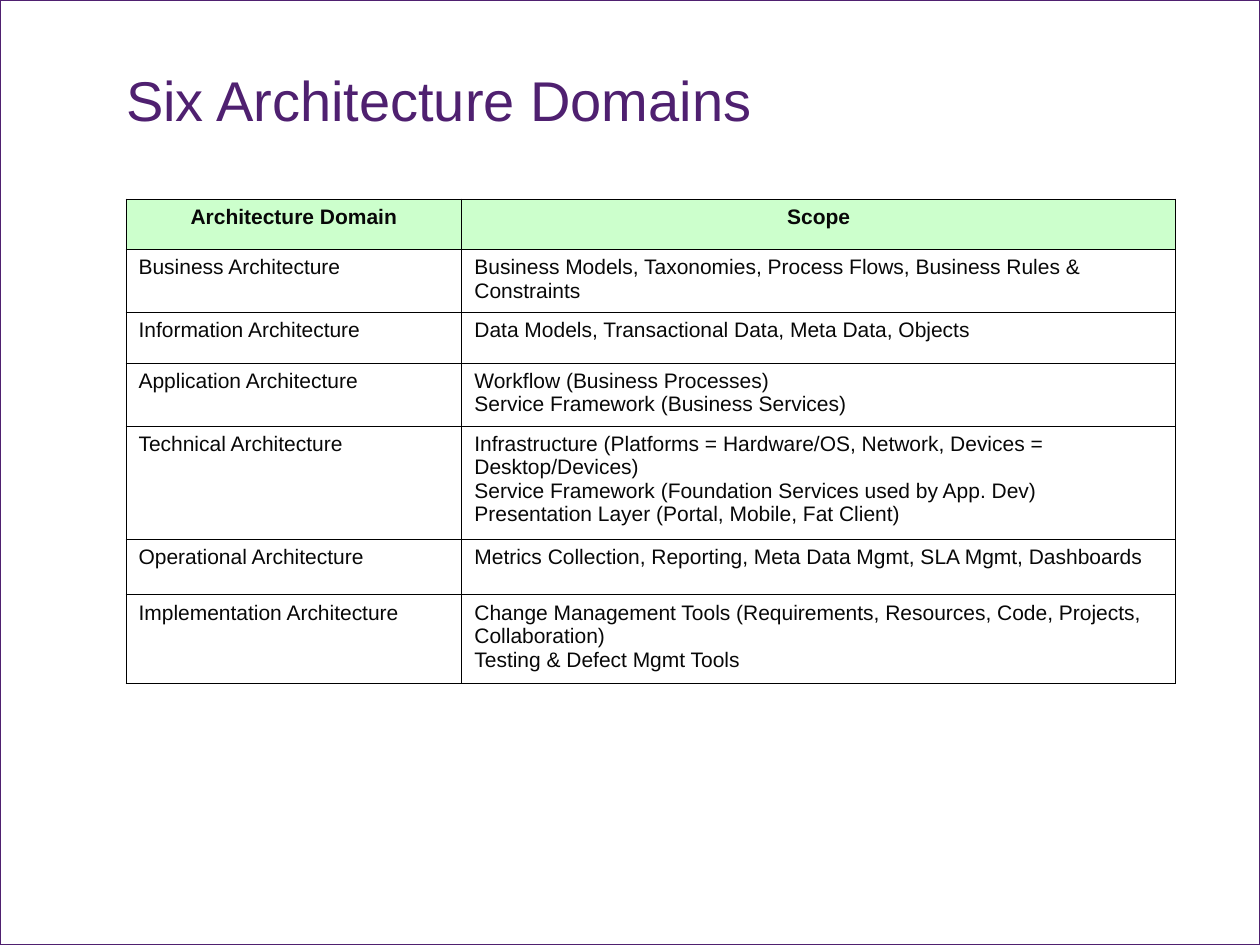
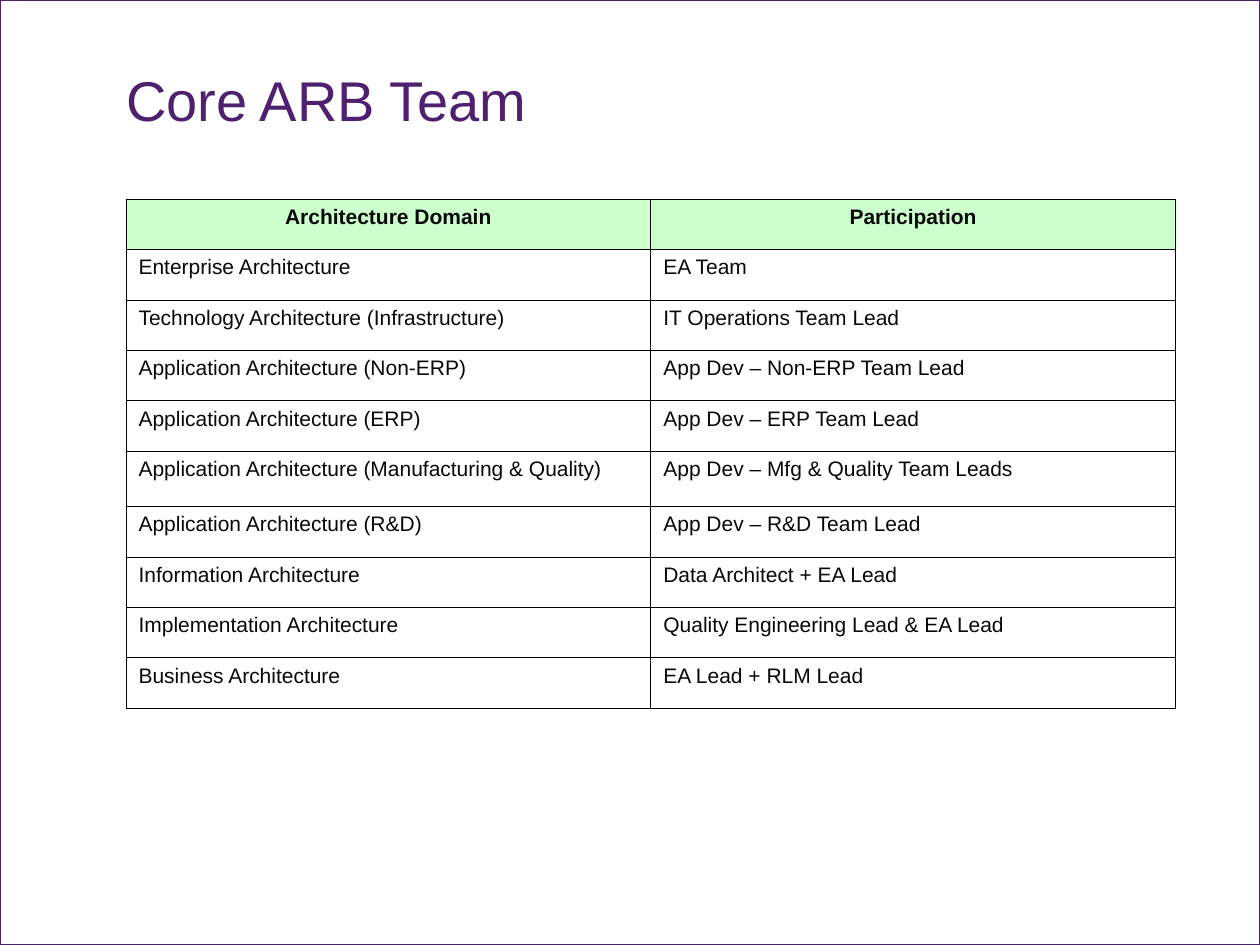
import pptx
import pptx.dml.color
import pptx.enum.shapes
import pptx.enum.text
import pptx.oxml
import pptx.oxml.ns
import pptx.util
from pptx.util import Inches

PURPLE = "4F2070"
HEADER_GREEN = "CCFFCC"
TEXT_BLACK = "080808"
BORDER_BLACK = "000000"
FONT = "Arial"
CONTENT_LEFT, CONTENT_WIDTH = 1, 8.33


def rgb(hex_code):
    return pptx.dml.color.RGBColor.from_string(hex_code)


def add_borders(cell):
    """Draw a thin line on all four sides; the cell's fill must already be set."""
    properties = cell._tc.get_or_add_tcPr()
    for position, side in enumerate(("lnL", "lnR", "lnT", "lnB")):
        properties.insert(position, pptx.oxml.parse_xml(
            f'<a:{side} {pptx.oxml.ns.nsdecls("a")} w="5715"><a:solidFill>'
            f'<a:srgbClr val="{BORDER_BLACK}"/></a:solidFill></a:{side}>'))


# Each row: height, domain, second column
domains = [
    (0.4, "Architecture Domain", "Scope"),
    (0.5, "Business Architecture",
     "Business Models, Taxonomies, Process Flows, Business Rules & Constraints"),
    (0.4, "Information Architecture", "Data Models, Transactional Data, Meta Data, Objects"),
    (0.5, "Application Architecture",
     "Workflow (Business Processes)\nService Framework (Business Services)"),
    (0.9, "Technical Architecture",
     "Infrastructure (Platforms = Hardware/OS, Network, Devices = Desktop/Devices)\n"
     "Service Framework (Foundation Services used by App. Dev)\n"
     "Presentation Layer (Portal, Mobile, Fat Client)"),
    (0.44, "Operational Architecture",
     "Metrics Collection, Reporting, Meta Data Mgmt, SLA Mgmt, Dashboards"),
    (0.7, "Implementation Architecture",
     "Change Management Tools (Requirements, Resources, Code, Projects, Collaboration)\n"
     "Testing & Defect Mgmt Tools"),
]
team = [
    (0.4, "Architecture Domain", "Participation"),
    (0.4, "Enterprise Architecture", "EA Team"),
    (0.4, "Technology Architecture (Infrastructure)", "IT Operations Team Lead"),
    (0.4, "Application Architecture (Non-ERP)", "App Dev – Non-ERP Team Lead"),
    (0.4, "Application Architecture (ERP)", "App Dev – ERP Team Lead"),
    (0.44, "Application Architecture (Manufacturing & Quality)",
     "App Dev – Mfg & Quality Team Leads"),
    (0.4, "Application Architecture (R&D)", "App Dev – R&D Team Lead"),
    (0.4, "Information Architecture", "Data Architect + EA Lead"),
    (0.4, "Implementation Architecture", "Quality Engineering Lead & EA Lead"),
    (0.4, "Business Architecture", "EA Lead + RLM Lead"),
]
# Each slide: title, share of the width for each column, rows
pages = [
    ("Six Architecture Domains", (0.32, 0.68), domains),
    ("Core ARB Team", (0.5, 0.5), team),
]

presentation = pptx.Presentation()
presentation.slide_width = Inches(10)
presentation.slide_height = Inches(7.5)
title_only = presentation.slide_layouts[5]

for heading, column_shares, rows in pages:
    slide = presentation.slides.add_slide(title_only)

    page_frame = slide.shapes.add_shape(
        pptx.enum.shapes.MSO_SHAPE.RECTANGLE, 0, 0,
        presentation.slide_width, presentation.slide_height)
    page_frame.shadow.inherit = False
    page_frame.fill.background()
    page_frame.line.color.rgb = rgb(PURPLE)
    page_frame.line.width = pptx.util.Pt(0.75)

    title = slide.shapes.title
    title.left, title.top = Inches(CONTENT_LEFT), Inches(0.58)
    title.width, title.height = Inches(CONTENT_WIDTH), Inches(0.67)
    frame = title.text_frame
    frame.margin_left = frame.margin_right = frame.margin_top = frame.margin_bottom = 0
    frame.vertical_anchor = pptx.enum.text.MSO_ANCHOR.TOP
    frame.auto_size = pptx.enum.text.MSO_AUTO_SIZE.NONE
    frame.text = heading
    paragraph = frame.paragraphs[0]
    paragraph.alignment = pptx.enum.text.PP_ALIGN.LEFT
    paragraph.line_spacing = 0.9
    paragraph.font.name = FONT
    paragraph.font.size = pptx.util.Pt(32)
    paragraph.font.color.rgb = rgb(PURPLE)

    table = slide.shapes.add_table(
        len(rows), len(column_shares), Inches(CONTENT_LEFT), Inches(1.58),
        Inches(CONTENT_WIDTH), Inches(sum(row[0] for row in rows))).table
    table.horz_banding = False
    for column, share in zip(table.columns, column_shares):
        column.width = Inches(CONTENT_WIDTH * share)

    for row_index, (height, *texts) in enumerate(rows):
        is_header = row_index == 0
        table.rows[row_index].height = Inches(height)
        for cell, text in zip(table.rows[row_index].cells, texts):
            cell.text = text
            if is_header:
                cell.fill.solid()
                cell.fill.fore_color.rgb = rgb(HEADER_GREEN)
            else:
                cell.fill.background()
            add_borders(cell)
            for paragraph in cell.text_frame.paragraphs:
                if is_header:
                    paragraph.alignment = pptx.enum.text.PP_ALIGN.CENTER
                paragraph.font.name = FONT
                paragraph.font.size = pptx.util.Pt(12)
                paragraph.font.bold = is_header
                paragraph.font.color.rgb = rgb(TEXT_BLACK)

presentation.save("out.pptx")
